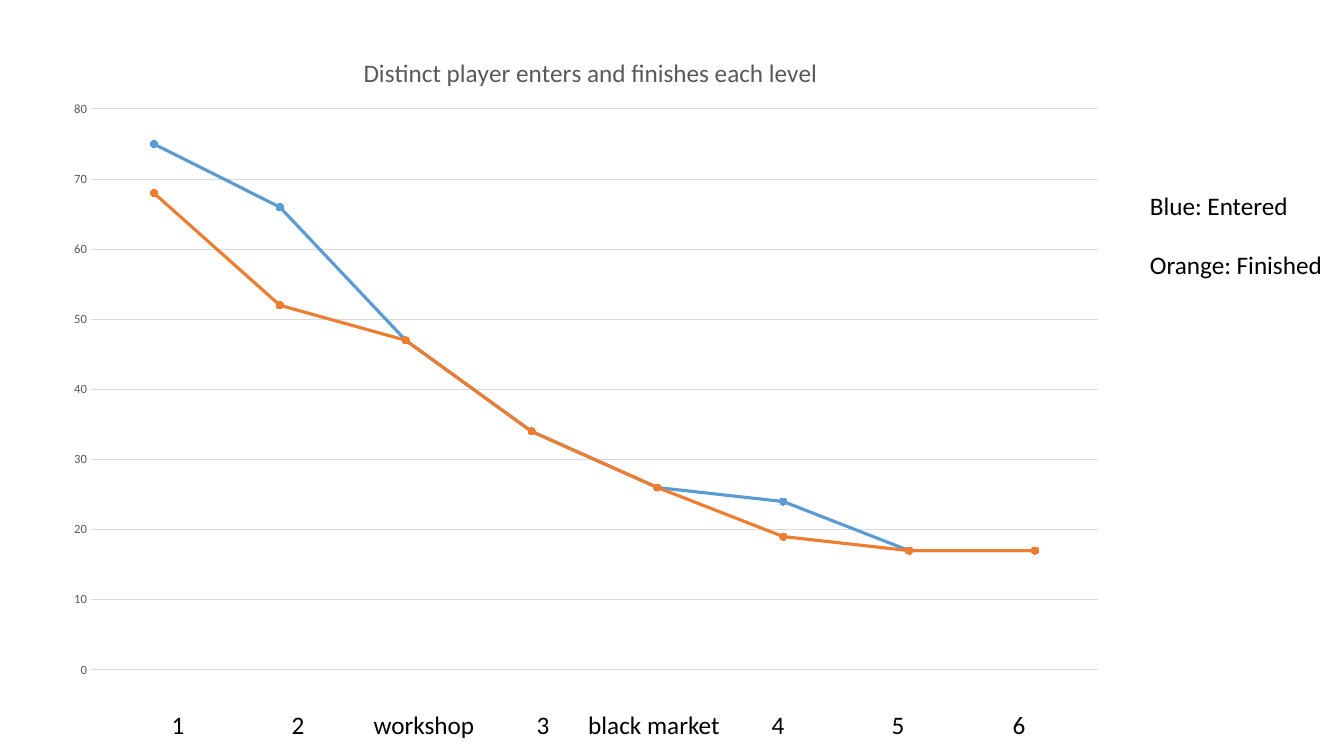
from dataclasses import dataclass

from lxml.etree import SubElement
from pptx import Presentation
from pptx.chart.chart import Chart
from pptx.chart.data import CategoryChartData
from pptx.dml.color import RGBColor
from pptx.enum.chart import XL_CHART_TYPE, XL_MARKER_STYLE, XL_TICK_MARK
from pptx.oxml import parse_xml
from pptx.oxml.ns import nsdecls, qn
from pptx.slide import Slide
from pptx.text.text import Font, TextFrame
from pptx.util import Emu, Pt

BLACK = RGBColor(0x00, 0x00, 0x00)
GRAY = RGBColor(0x59, 0x59, 0x59)
GRID = RGBColor(0xD9, 0xD9, 0xD9)
BLUE = RGBColor(0x5B, 0x9B, 0xD5)
ORANGE = RGBColor(0xED, 0x7D, 0x31)
FONT = "Calibri"
EMU_PER_PX = 914400 / 100.8


def px(length: int) -> Emu:
    return Emu(round(length * EMU_PER_PX))


@dataclass(frozen=True)
class Box:
    left: int
    top: int
    width: int
    height: int

    def emu(self) -> tuple[Emu, Emu, Emu, Emu]:
        return px(self.left), px(self.top), px(self.width), px(self.height)


@dataclass(frozen=True)
class PlayerCount:
    name: str
    values: tuple[int, ...]
    color: RGBColor


@dataclass(frozen=True)
class Level:
    name: str
    center: int


CHART_BOX = Box(52, 24, 1066, 666)
PLOT_BOX = Box(91, 109, 1007, 561)
LEVELS_BOX = Box(145, 704, 925, 40)
KEY_BOX = Box(1140, 185, 204, 102)
TEXT_INSET = 10

PLAYER_COUNTS = (
    PlayerCount("Series 1", (75, 66, 47, 34, 26, 24, 17, 17), BLUE),
    PlayerCount("Series 2", (68, 52, 47, 34, 26, 19, 17, 17), ORANGE),
)
LEVELS = (
    Level("1", 178),
    Level("2", 298),
    Level("workshop", 424),
    Level("3", 543),
    Level("black market", 654),
    Level("4", 778),
    Level("5", 898),
    Level("6", 1019),
)


def style(font: Font, size: int, color: RGBColor) -> None:
    font.name = FONT
    font.size = Pt(size)
    font.bold = False
    font.color.rgb = color


def add_text(slide: Slide, box: Box, text: str) -> TextFrame:
    frame = slide.shapes.add_textbox(*box.emu()).text_frame
    frame.word_wrap = True
    frame.text = text
    for paragraph in frame.paragraphs:
        for run in paragraph.runs:
            style(run.font, 18, BLACK)
    return frame


def add_levels(slide: Slide) -> None:
    text = "".join(f"\t{level.name}" for level in LEVELS)
    paragraph = add_text(slide, LEVELS_BOX, text).paragraphs[0]
    paragraph.level = 0
    properties = paragraph.runs[0].font._element.getparent().getparent().get_or_add_pPr()
    tab_stops = SubElement(properties, qn("a:tabLst"))
    for level in LEVELS:
        position = px(level.center - LEVELS_BOX.left - TEXT_INSET)
        SubElement(tab_stops, qn("a:tab"), pos=str(position), algn="ctr")


def place(chart: Chart, tag: str, index: int, target: str, sizes: dict[str, float]) -> None:
    part = chart.element.find(f".//{qn(tag)}")
    for layout in part.findall(qn("c:layout")):
        part.remove(layout)
    modes = "".join(f'<c:{axis}Mode val="edge"/>' for axis in "xy")
    values = "".join(f'<c:{key} val="{value:.4f}"/>' for key, value in sizes.items())
    part.insert(index, parse_xml(
        f'<c:layout {nsdecls("c")}><c:manualLayout>{target}{modes}{values}'
        "</c:manualLayout></c:layout>"
    ))


def add_level_chart(slide: Slide) -> None:
    data = CategoryChartData()
    data.categories = [str(number) for number in range(1, len(LEVELS) + 1)]
    for count in PLAYER_COUNTS:
        data.add_series(count.name, count.values)
    chart = slide.shapes.add_chart(
        XL_CHART_TYPE.LINE_MARKERS, *CHART_BOX.emu(), data
    ).chart
    style(chart.font, 10, BLACK)
    chart.has_legend = False
    chart.has_title = True
    title = chart.chart_title.text_frame
    title.text = "Distinct player enters and finishes each level"
    style(title.paragraphs[0].runs[0].font, 18, GRAY)

    chart.category_axis.visible = False
    axis = chart.value_axis
    axis.minimum_scale, axis.maximum_scale, axis.major_unit = 0, 80, 10
    axis.major_tick_mark = axis.minor_tick_mark = XL_TICK_MARK.NONE
    axis.format.line.fill.background()
    axis.major_gridlines.format.line.color.rgb = GRID
    axis.major_gridlines.format.line.width = Pt(0.75)
    style(axis.tick_labels.font, 9, GRAY)

    plot = chart.plots[0]
    plot.vary_by_categories = False
    for series, count in zip(plot.series, PLAYER_COUNTS):
        series.smooth = False
        series.format.line.color.rgb = count.color
        series.format.line.width = Pt(2.25)
        series.marker.style = XL_MARKER_STYLE.CIRCLE
        series.marker.size = 5
        series.marker.format.fill.solid()
        series.marker.format.fill.fore_color.rgb = count.color
        series.marker.format.line.color.rgb = count.color

    place(chart, "c:title", 1, "", {"x": 0.288, "y": 0.04})
    place(chart, "c:plotArea", 0, '<c:layoutTarget val="inner"/>', {
        "x": (PLOT_BOX.left - CHART_BOX.left) / CHART_BOX.width,
        "y": (PLOT_BOX.top - CHART_BOX.top) / CHART_BOX.height,
        "w": PLOT_BOX.width / CHART_BOX.width,
        "h": PLOT_BOX.height / CHART_BOX.height,
    })


def main() -> None:
    presentation = Presentation()
    presentation.slide_width = px(1344)
    presentation.slide_height = px(756)
    slide = presentation.slides.add_slide(presentation.slide_layouts[6])
    add_levels(slide)
    add_level_chart(slide)
    key = add_text(slide, KEY_BOX, "Blue: Entered\nOrange: Finished")
    key.paragraphs[1].space_before = Pt(21)
    presentation.save("out.pptx")


if __name__ == "__main__":
    main()
